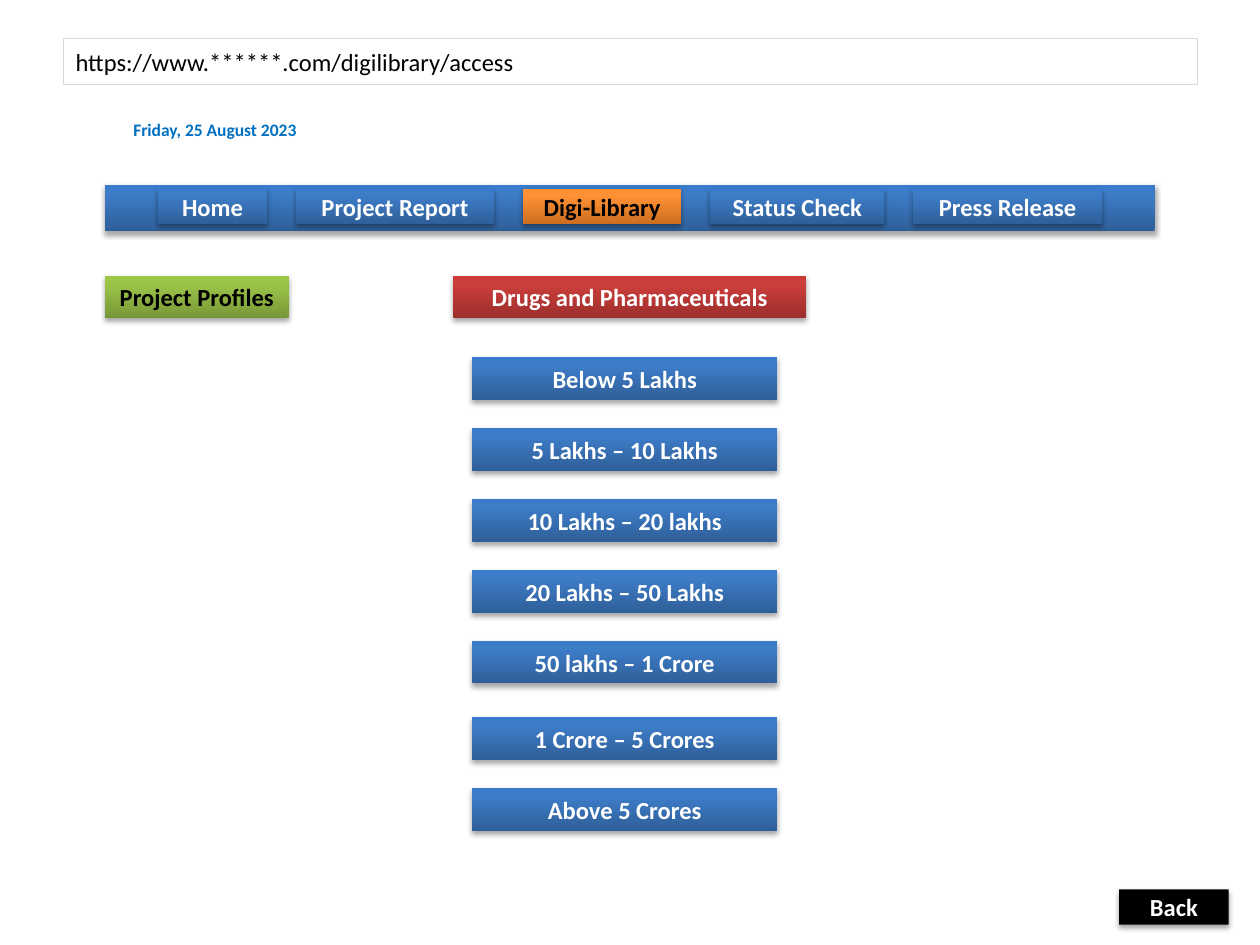
from copy import deepcopy

from lxml import etree
from pptx import Presentation
from pptx.dml.color import RGBColor
from pptx.enum.shapes import MSO_SHAPE as SHAPE
from pptx.enum.text import MSO_ANCHOR as ANCHOR, PP_ALIGN as ALIGN
from pptx.oxml.ns import qn
from pptx.util import Cm, Pt

BLACK = RGBColor(0x00, 0x00, 0x00)
WHITE = RGBColor(0xFF, 0xFF, 0xFF)
BORDER = RGBColor(0xD9, 0xD9, 0xD9)
DATE_BLUE = RGBColor(0x00, 0x70, 0xC0)
BLUE = [RGBColor(0x2F, 0x5F, 0x99), RGBColor(0x3D, 0x7C, 0xC7), RGBColor(0x3A, 0x7C, 0xCB)]
RED = [RGBColor(0x9C, 0x2F, 0x2D), RGBColor(0xCB, 0x3E, 0x3A), RGBColor(0xCE, 0x3B, 0x37)]
GREEN = [RGBColor(0x77, 0x97, 0x37), RGBColor(0x9B, 0xC3, 0x48), RGBColor(0x9D, 0xC7, 0x46)]
ORANGE = [RGBColor(0xCC, 0x6E, 0x20), RGBColor(0xFF, 0x90, 0x34), RGBColor(0xFF, 0x91, 0x36)]


def write(sp, text, size, color, bold=True, align=ALIGN.CENTER):
    tf = sp.text_frame
    tf.word_wrap = True
    tf.vertical_anchor = ANCHOR.MIDDLE
    p = tf.paragraphs[0]
    p.text = text
    p.alignment = align
    p.font.name = "Calibri"
    p.font.size = Pt(size)
    p.font.bold = bold
    p.font.color.rgb = color


def add_button(left, top, width, height, colors, text="", color=WHITE):
    sp = s.shapes.add_shape(SHAPE.RECTANGLE, Cm(left), Cm(top), Cm(width), Cm(height))
    sp.line.fill.background()
    if len(colors) == 1:
        sp.fill.solid()
        sp.fill.fore_color.rgb = colors[0]
    else:
        sp.fill.gradient()
        sp.fill.gradient_angle = 90
        stop_list = sp._element.spPr.find(".//" + qn("a:gsLst"))
        stop_list.append(deepcopy(stop_list[-1]))
        for stop, position, rgb in zip(sp.fill.gradient_stops, (0, 0.8, 1), colors):
            stop.position = position
            stop.color.rgb = rgb
    sp.shadow.inherit = False
    effects = sp._element.spPr.find(qn("a:effectLst"))
    shadow = etree.SubElement(effects, qn("a:outerShdw"), blurRad=str(Pt(3.1)),
                              dist=str(Pt(1.8)), dir="5400000", rotWithShape="0")
    shade = etree.SubElement(shadow, qn("a:srgbClr"), val="000000")
    etree.SubElement(shade, qn("a:alpha"), val="35000")
    if text:
        write(sp, text, 14, color)


prs = Presentation()
prs.slide_width, prs.slide_height = Cm(25.4), Cm(19.05)
s = prs.slides.add_slide(prs.slide_layouts[5])

title = s.shapes.title
title.left, title.top, title.width, title.height = Cm(1.27), Cm(0.77), Cm(22.86), Cm(0.93)
title.line.color.rgb = BORDER
title.line.width = Pt(0.25)
write(title, "https://www.******.com/digilibrary/access", 14, BLACK, False, ALIGN.LEFT)

date = s.shapes.add_textbox(Cm(1.88), Cm(2.27), Cm(4.9), Cm(0.7))
write(date, "Friday, 25 August 2023", 10, DATE_BLUE)

add_button(2.12, 3.73, 21.16, 0.93, BLUE)
left = 3.18
for text, width in [("Home", 2.21), ("Project Report", 3.99), ("Digi-Library", 3.2),
                    ("Status Check", 3.51), ("Press Release", 3.81)]:
    active = text == "Digi-Library"
    add_button(left, 3.81, width, 0.71, ORANGE if active else BLUE, text,
               BLACK if active else WHITE)
    left += width + 0.58

add_button(2.12, 5.56, 3.7, 0.86, GREEN, "Project Profiles", BLACK)
add_button(9.14, 5.56, 7.11, 0.86, RED, "Drugs and Pharmaceuticals")

budgets = ["Below 5 Lakhs", "5 Lakhs – 10 Lakhs", "10 Lakhs – 20 lakhs", "20 Lakhs – 50 Lakhs",
           "50 lakhs – 1 Crore", "1 Crore – 5 Crores", "Above 5 Crores"]
for i, text in enumerate(budgets):
    crore_gap = 0.11 if i >= 5 else 0
    add_button(9.52, 7.2 + 1.43 * i + crore_gap, 6.15, 0.86, BLUE, text)

add_button(22.56, 17.93, 2.21, 0.71, [BLACK], "Back")

prs.save("out.pptx")
